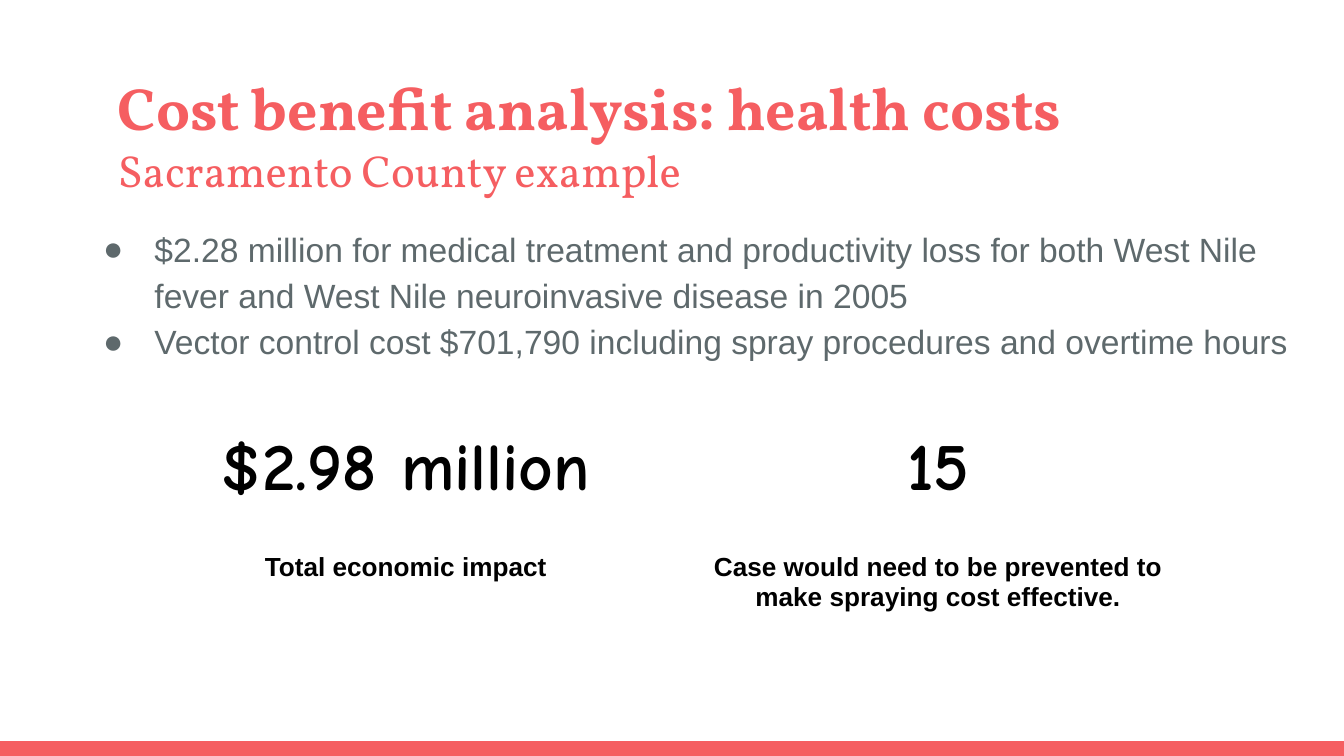
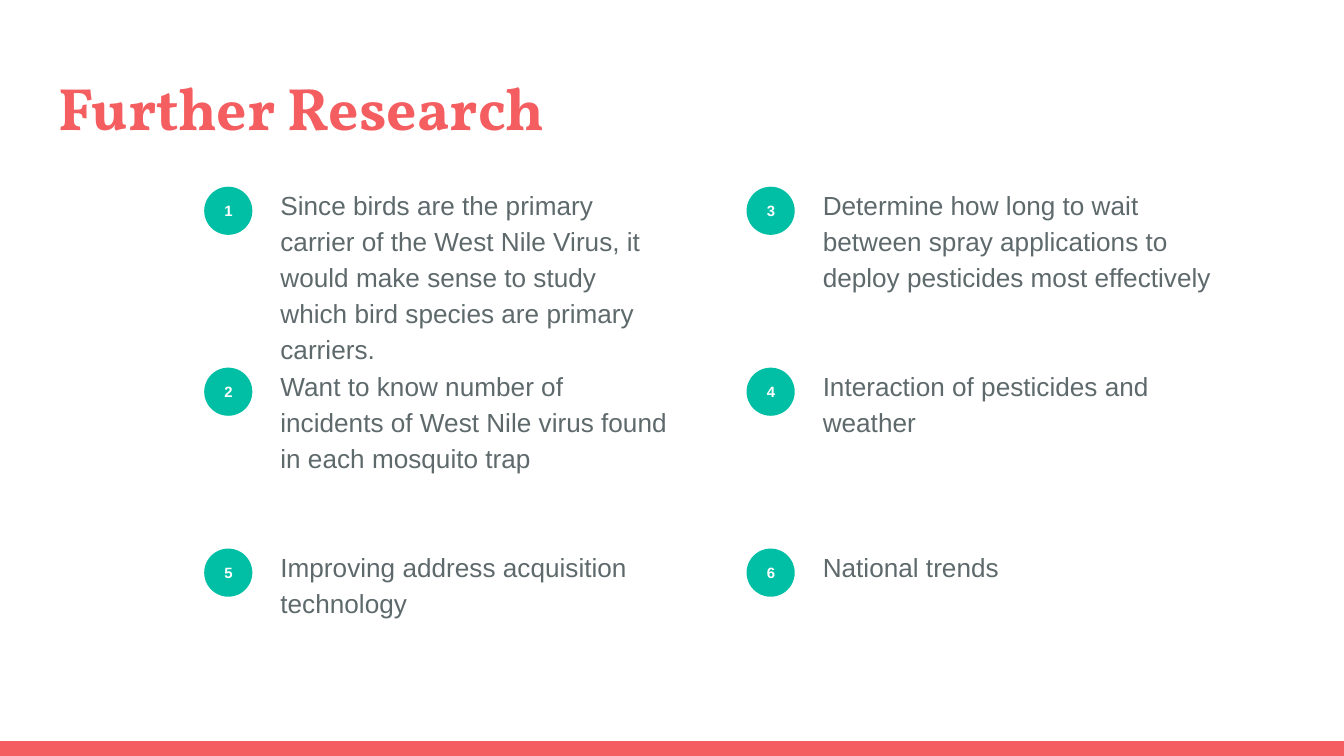
from dataclasses import dataclass
from typing import Optional

from lxml import etree
from pptx import Presentation, util as u
from pptx.dml.color import RGBColor
from pptx.enum import shapes, text
from pptx.oxml import ns

CORAL, TEAL, GREY, BLACK, WHITE = "F55E61", "00BFA5", "5E696C", "000000", "FFFFFF"
SLIDE_W, SLIDE_H, BAND_H = 25.4, 14.29, 0.28
INSET = 0.25


@dataclass(frozen=True)
class Box:
    left: float
    top: float
    width: float
    height: float

    def lengths(self) -> tuple:
        return tuple(u.Cm(v) for v in (self.left, self.top, self.width, self.height))


@dataclass(frozen=True)
class Style:
    size: int
    color: str
    font: str = "Arial"
    bold: bool = False
    align: Optional[text.PP_ALIGN] = None
    line: Optional[float] = None
    after: Optional[int] = None


@dataclass(frozen=True)
class Idea:
    number: int
    col: int
    row: int
    words: str


TITLE = Style(32, CORAL, "Vollkorn", True)
SUBTITLE = Style(24, CORAL, "Vollkorn")
BULLET = Style(18, GREY, line=1.15)
IDEA = Style(14, GREY, line=1.15, after=16)
BADGE = Style(8, WHITE, bold=True, align=text.PP_ALIGN.CENTER)
FIGURE = Style(36, BLACK, "Comic Neue", True, text.PP_ALIGN.CENTER)
CAPTION = Style(14, BLACK, bold=True, align=text.PP_ALIGN.CENTER)

COSTS = [
    "$2.28 million for medical treatment and productivity loss for both West Nile "
    "fever and West Nile neuroinvasive disease in 2005",
    "Vector control cost $701,790 including spray procedures and overtime hours",
]
RESULTS = [
    (FIGURE, ["$2.98 million", "15"]),
    (CAPTION, ["Total economic impact",
               "Case would need to be prevented to make spraying cost effective."]),
]
IDEAS = [
    Idea(1, 0, 0, "Since birds are the primary carrier of the West Nile Virus, it would "
                  "make sense to study which bird species are primary carriers."),
    Idea(2, 0, 1, "Want to know number of incidents of West Nile virus found in each "
                  "mosquito trap"),
    Idea(3, 1, 0, "Determine how long to wait between spray applications to deploy "
                  "pesticides most effectively"),
    Idea(4, 1, 1, "Interaction of pesticides and weather"),
    Idea(5, 0, 2, "Improving address acquisition technology"),
    Idea(6, 1, 2, "National trends"),
]


def rgb(value: str) -> RGBColor:
    return RGBColor.from_string(value)


def set_insets(target) -> None:
    """Apply the common margins to a text frame or a table cell."""
    target.margin_left = target.margin_right = u.Cm(INSET)
    target.margin_top = target.margin_bottom = u.Cm(INSET)


def write(tf, lines: list[tuple[str, Style]], bulleted: bool = False) -> None:
    tf.word_wrap = True
    for i, (words, style) in enumerate(lines):
        p = tf.add_paragraph() if i else tf.paragraphs[0]
        if bulleted:
            add_bullet(p, style.color)
        if style.align is not None:
            p.alignment = style.align
        if style.line is not None:
            p.line_spacing = style.line
        if style.after is not None:
            p.space_after = u.Pt(style.after)
        r = p.add_run()
        r.text = words
        r.font.size = u.Pt(style.size)
        r.font.name = style.font
        r.font.bold = style.bold
        r.font.color.rgb = rgb(style.color)


def add_bullet(p, color: str) -> None:
    pPr = p._p.get_or_add_pPr()
    pPr.set("marL", str(u.Cm(1.27)))
    pPr.set("indent", str(u.Cm(-0.97)))
    clr = etree.SubElement(pPr, ns.qn("a:buClr"))
    etree.SubElement(clr, ns.qn("a:srgbClr"), val=color)
    etree.SubElement(pPr, ns.qn("a:buFont"), typeface="Arial")
    etree.SubElement(pPr, ns.qn("a:buChar"), char="●")


def add_text(s, box: Box, lines: list[tuple[str, Style]], bulleted: bool = False) -> None:
    tf = s.shapes.add_textbox(*box.lengths()).text_frame
    set_insets(tf)
    write(tf, lines, bulleted)


def add_filled(s, kind: shapes.MSO_SHAPE, box: Box, color: str):
    sp = s.shapes.add_shape(kind, *box.lengths())
    sp.shadow.inherit = False
    sp.fill.solid()
    sp.fill.fore_color.rgb = rgb(color)
    sp.line.fill.background()
    return sp


def add_slide(prs, title_left: float, title_width: float, heading: list[tuple[str, Style]]):
    """Add a slide with the shared bottom band and title."""
    s = prs.slides.add_slide(prs.slide_layouts[6])
    band = Box(0, SLIDE_H - BAND_H, SLIDE_W, BAND_H)
    add_filled(s, shapes.MSO_SHAPE.RECTANGLE, band, CORAL)
    add_text(s, Box(title_left, 1.09, title_width, 1.73), heading)
    return s


def add_results(s, box: Box) -> None:
    frame = s.shapes.add_table(len(RESULTS), len(RESULTS[0][1]), *box.lengths())
    table = frame.table
    table.first_row = table.horz_banding = False
    for row, (style, values) in enumerate(RESULTS):
        for col, words in enumerate(values):
            cell = table.cell(row, col)
            cell.fill.background()
            set_insets(cell)
            write(cell.text_frame, [(words, style)])


def add_idea(s, idea: Idea) -> None:
    left, top = 3.86 + 10.25 * idea.col, 3.53 + 3.42 * idea.row
    sp = add_filled(s, shapes.MSO_SHAPE.OVAL, Box(left, top, 0.91, 0.91), TEAL)
    tf = sp.text_frame
    set_insets(tf)
    tf.vertical_anchor = text.MSO_ANCHOR.MIDDLE
    write(tf, [(str(idea.number), BADGE)])
    add_text(s, Box(left + 1.19, top - 0.29, 7.87, 2.92), [(idea.words, IDEA)])


def main() -> None:
    prs = Presentation()
    prs.slide_width, prs.slide_height = u.Cm(SLIDE_W), u.Cm(SLIDE_H)

    s = add_slide(prs, 1.98, 22.56, [("Cost benefit analysis: health costs", TITLE),
                                     ("Sacramento County example", SUBTITLE)])
    add_text(s, Box(1.4, 3.96, 23.67, 3.86), [(cost, BULLET) for cost in COSTS], bulleted=True)
    add_results(s, Box(2.64, 7.87, 20.12, 4.67))

    s = add_slide(prs, 0.86, 23.67, [("Further Research", TITLE)])
    for idea in IDEAS:
        add_idea(s, idea)

    prs.save("out.pptx")


if __name__ == "__main__":
    main()
